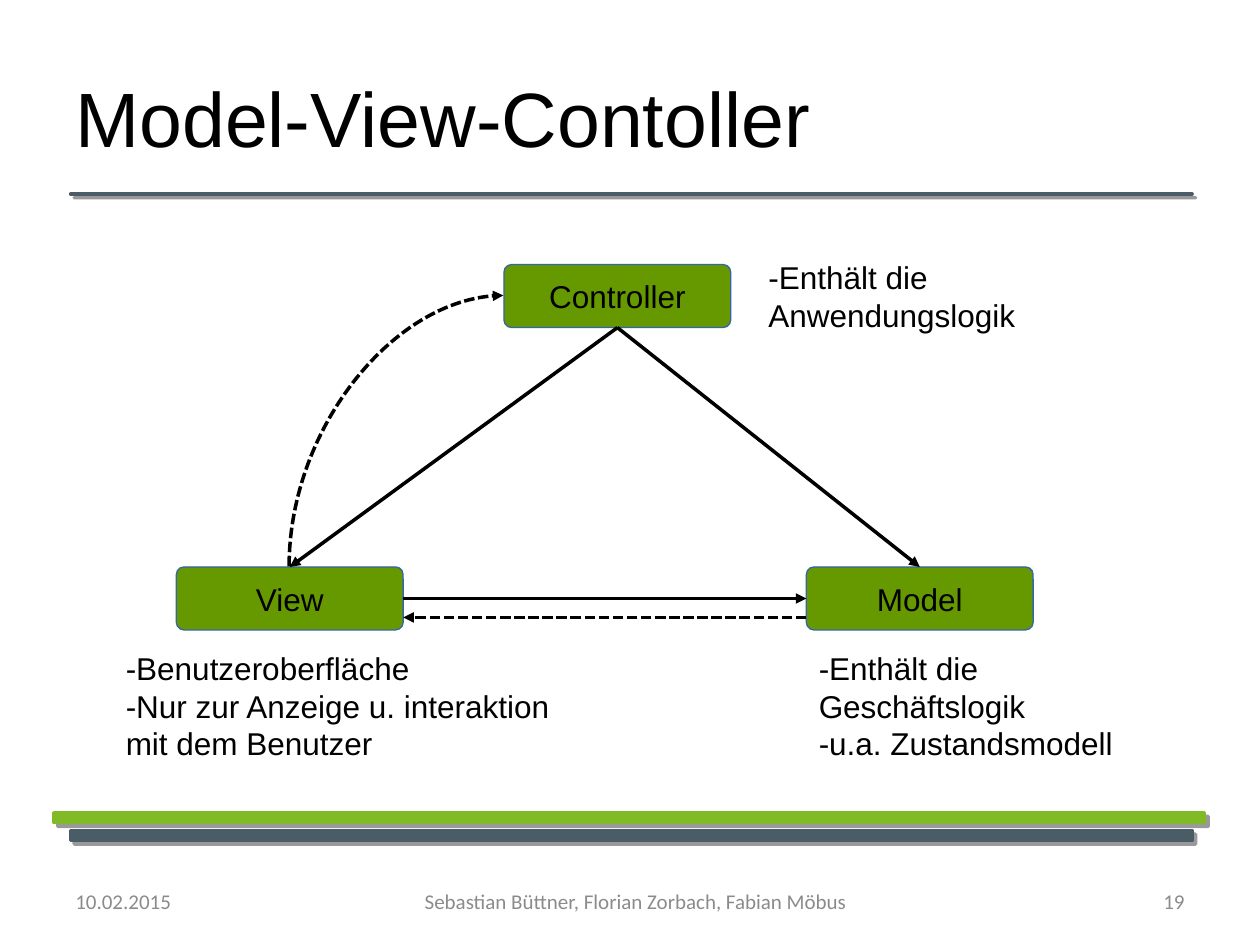
from dataclasses import dataclass

from lxml.etree import SubElement
from pptx import Presentation
from pptx.dml.color import RGBColor
from pptx.enum.dml import MSO_LINE
from pptx.enum.shapes import MSO_CONNECTOR, MSO_SHAPE
from pptx.enum.text import MSO_ANCHOR, PP_ALIGN
from pptx.oxml.ns import qn
from pptx.util import Inches, Pt


@dataclass(frozen=True)
class Theme:
    ink: RGBColor = RGBColor.from_string("000000")
    muted: RGBColor = RGBColor.from_string("8B8B8B")
    lime: RGBColor = RGBColor.from_string("80BA24")
    slate: RGBColor = RGBColor.from_string("4A5C66")
    node: RGBColor = RGBColor.from_string("669900")
    outline: RGBColor = RGBColor.from_string("3465A4")
    title: int = 44
    body: int = 18
    footer: int = 12


theme = Theme()


def write(frame, text, size=theme.body, color=theme.ink, font="Arial",
          align=PP_ALIGN.LEFT, anchor=MSO_ANCHOR.TOP, wrap=True):
    frame.word_wrap = wrap
    frame.vertical_anchor = anchor
    for index, line in enumerate(text.split("\n")):
        para = frame.add_paragraph() if index else frame.paragraphs[0]
        para.alignment = align
        span = para.add_run()
        span.text = line
        span.font.name = font
        span.font.size = Pt(size)
        span.font.color.rgb = color


def add_arrow(kind, start, end, dashed=False):
    arrow = page.shapes.add_connector(kind, *map(Inches, start + end))
    arrow.line.color.rgb = theme.ink
    arrow.line.width = Pt(0)
    if dashed:
        arrow.line.dash_style = MSO_LINE.SQUARE_DOT
    properties = arrow._element.spPr
    SubElement(properties.find(qn("a:ln")), qn("a:tailEnd"), type="triangle")
    SubElement(properties, qn("a:effectLst"))
    return arrow


deck = Presentation()
deck.slide_width = Inches(10)
deck.slide_height = Inches(7.5)
page = deck.slides.add_slide(deck.slide_layouts[6])

bars = [
    (0.43, 6.45, 9.13, 0.08, theme.lime),
    (0.56, 6.59, 8.9, 0.08, theme.slate),
    (0.56, 1.54, 8.9, 0, theme.slate),
]
for *place, color in bars:
    bar = page.shapes.add_shape(MSO_SHAPE.RECTANGLE, *map(Inches, place))
    bar.fill.solid()
    bar.fill.fore_color.rgb = color
    bar.line.color.rgb = color
    bar.line.width = Pt(2)
    bar.shadow.inherit = False
    effects = bar._element.spPr.find(qn("a:effectLst"))
    shadow = SubElement(effects, qn("a:outerShdw"), blurRad="0", dist=str(Pt(3)),
                        dir="2700000", algn="tl", rotWithShape="0")
    tint = SubElement(shadow, qn("a:srgbClr"), val=str(theme.ink))
    SubElement(tint, qn("a:alpha"), val="40000")

title = page.shapes.add_textbox(Inches(0.5), Inches(0.3), Inches(9), Inches(1.25))
write(title.text_frame, "Model-View-Contoller", size=theme.title, anchor=MSO_ANCHOR.MIDDLE)

footers = [
    (0.5, 2.33, "10.02.2015", PP_ALIGN.LEFT),
    (3.27, 3.55, "Sebastian Büttner, Florian Zorbach, Fabian Möbus", PP_ALIGN.CENTER),
    (7.17, 2.33, "19", PP_ALIGN.RIGHT),
]
for left, width, text, align in footers:
    box = page.shapes.add_textbox(Inches(left), Inches(6.95), Inches(width), Inches(0.4))
    write(box.text_frame, text, size=theme.footer, color=theme.muted, font="Calibri",
          align=align, anchor=MSO_ANCHOR.MIDDLE)

for left, top, text in [(4, 2.1, "Controller"), (1.4, 4.5, "View"), (6.4, 4.5, "Model")]:
    node = page.shapes.add_shape(MSO_SHAPE.ROUNDED_RECTANGLE, Inches(left), Inches(top),
                                 Inches(1.8), Inches(0.5))
    node.adjustments[0] = 0.12
    node.fill.solid()
    node.fill.fore_color.rgb = theme.node
    node.line.color.rgb = theme.outline
    node.line.width = Pt(0)
    node.shadow.inherit = False
    write(node.text_frame, text, align=PP_ALIGN.CENTER, anchor=MSO_ANCHOR.MIDDLE, wrap=False)

add_arrow(MSO_CONNECTOR.STRAIGHT, (4.9, 2.6), (7.3, 4.5))
add_arrow(MSO_CONNECTOR.STRAIGHT, (4.9, 2.6), (2.3, 4.5))
add_arrow(MSO_CONNECTOR.STRAIGHT, (3.2, 4.75), (6.4, 4.75))
add_arrow(MSO_CONNECTOR.STRAIGHT, (6.4, 4.9), (3.2, 4.9), dashed=True)

notes = [
    (6, 2, 3.1, 1.1, "-Enthält die Anwendungslogik"),
    (0.9, 5.1, 3.7, 1.26,
     "-Benutzeroberfläche\n-Nur zur Anzeige u. interaktion mit dem Benutzer"),
    (6.4, 5.1, 3.1, 1.1, "-Enthält die Geschäftslogik\n-u.a. Zustandsmodell"),
]
for *place, text in notes:
    box = page.shapes.add_textbox(*map(Inches, place))
    write(box.text_frame, text)

feedback = add_arrow(MSO_CONNECTOR.CURVE, (4.22, 4.27), (2.07, 2.57), dashed=True)
outline = feedback._element.spPr
outline.find(qn("a:prstGeom")).set("prst", "curvedConnector2")
outline.find(qn("a:xfrm")).set("rot", str(90 * 60000))

deck.save("out.pptx")
